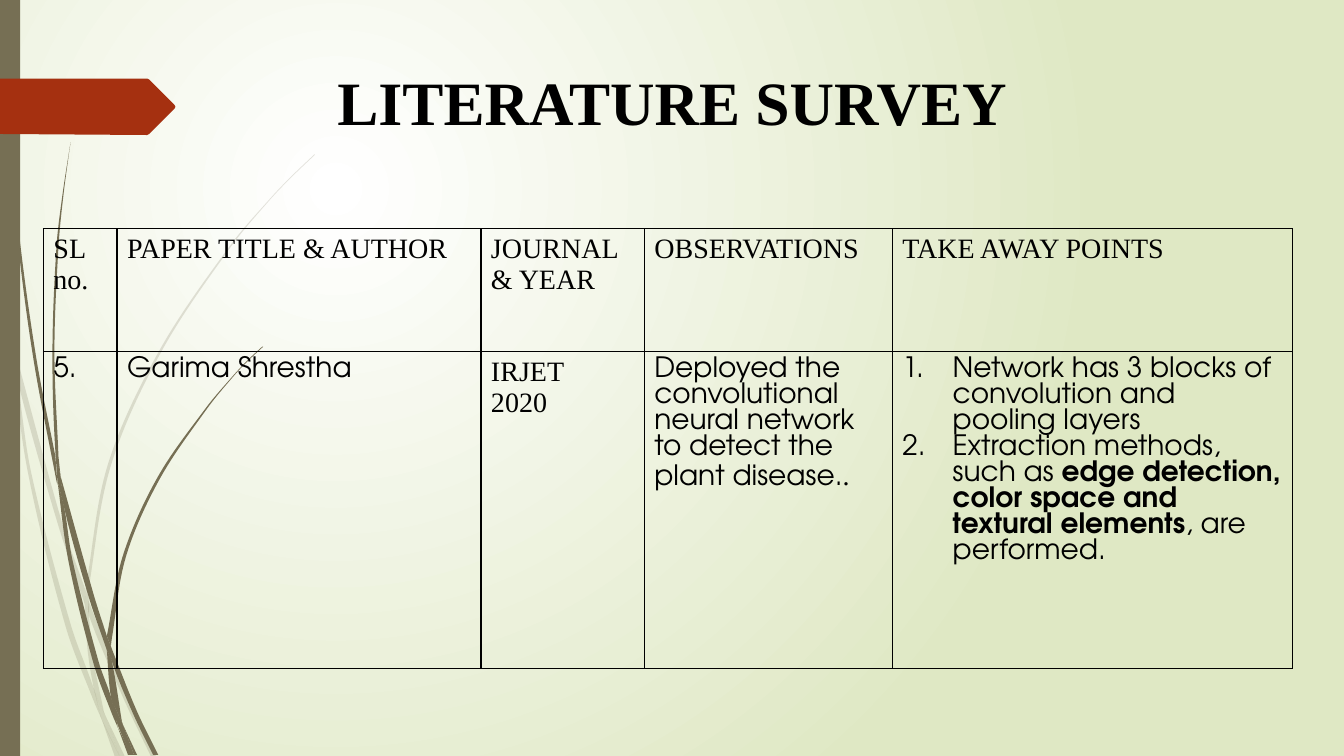
from math import dist

from lxml import etree
from pptx import Presentation
from pptx.dml.color import RGBColor
from pptx.enum.shapes import MSO_SHAPE
from pptx.enum.text import MSO_ANCHOR, PP_ALIGN
from pptx.oxml.ns import qn
from pptx.util import Inches, Pt

BAR, BOTTOM = MSO_SHAPE.RECTANGLE, MSO_ANCHOR.BOTTOM
LEFT, CENTER, JUSTIFY = PP_ALIGN.LEFT, PP_ALIGN.CENTER, PP_ALIGN.JUSTIFY

COLORS = {"white": "FFFFFF", "pale": "DFE8C4", "olive": "766F54",
          "rust": "A53010", "black": "000000"}
SERIF, SANS = "Times New Roman", "TeX Gyre Adventor"

# An outline is a list of curved edges; straight lines join one edge to the next.
PALE_GRASS = [
    [[(0.11, 3.5), (0.09, 3.22), (0, 2.82)], [(0, 2.99), (0.1, 3.44), (0.11, 3.5)]],
    [[(0.14, 3.45), (0.17, 3.76), (0.58, 5.22), (0.84, 5.99)],
     [(0.85, 5.86), (0.62, 5.2), (0.14, 3.45)]],
    [[(0.88, 5.96), (0.88, 6.1), (1.23, 6.94), (1.5, 7.51)],
     [(1.55, 7.51), (1.27, 6.92), (0.92, 6.07), (0.88, 5.96)]],
    [[(1.19, 7.51)], [(1.24, 7.51), (1.05, 7.11)]],
    [[(0.11, 3.5), (0.28, 4.7), (0.65, 6.21), (0.92, 6.93), (1.01, 7.14)],
     [(0.99, 7.07), (0.93, 6.83), (0.7, 6.19), (0.31, 4.69), (0.17, 3.76), (0.11, 3.5)]],
    [[(0.84, 5.99), (0.87, 6.46), (0.93, 6.83), (0.96, 6.92), (1.05, 7.11)],
     [(1.03, 7.06), (0.91, 6.46), (0.88, 6.1), (0.84, 5.99)]],
    [[(3.12, 1.53), (2.89, 1.75), (2.68, 1.97), (2.28, 2.44), (1.58, 3.48),
      (1.07, 4.61), (0.85, 5.84)],
     [(0.88, 5.96), (0.88, 5.84), (1.1, 4.62), (1.6, 3.49), (2.29, 2.45),
      (2.68, 1.98), (2.9, 1.75), (3.12, 1.54)]],
    [[(1.01, 7.14), (1.14, 7.51)], [(1.19, 7.51), (1.01, 7.14)]],
    [[(0.88, 6.1), (0.88, 5.96), (0.85, 5.86)], [(0.84, 5.99), (0.88, 6.08)]],
    [[(0.93, 6.83), (0.99, 7.07), (1.01, 7.14), (1.19, 7.51)],
     [(1.05, 7.11), (0.96, 6.92), (0.93, 6.83)]],
]
DARK_GRASS = [
    [[(0.03, 0), (0.04, 0.48), (0.07, 1.1), (0.17, 2.33), (0.33, 3.55),
      (0.56, 4.77), (0.57, 4.81)],
     [(0.55, 4.53), (0.36, 3.55), (0.19, 2.32), (0.08, 1.09), (0.05, 0.48), (0.04, 0)]],
    [[(0.6, 4.72), (0.64, 5.05), (0.88, 5.92), (1.06, 6.45)],
     [(1.06, 6.31), (0.93, 5.9), (0.6, 4.72)]],
    [[(1.1, 6.41), (1.11, 6.56), (1.32, 7.08), (1.52, 7.49)],
     [(1.57, 7.49), (1.36, 7.06), (1.13, 6.49), (1.1, 6.41)]],
    [[(0.57, 4.77), (0.68, 5.57), (0.93, 6.59), (1.11, 7.08), (1.17, 7.22)],
     [(1.16, 7.17), (1.1, 6.91), (0.98, 6.57), (0.72, 5.56), (0.64, 5.05), (0.57, 4.77)]],
    [[(0.7, 1.41), (0.62, 1.93), (0.56, 2.45), (0.52, 3.49), (0.55, 4.49), (0.6, 4.72)],
     [(0.58, 4.53), (0.54, 3.49), (0.58, 2.45), (0.63, 1.93), (0.7, 1.41)]],
    [[(1.33, 7.49)], [(1.36, 7.49), (1.22, 7.19)]],
    [[(0.57, 4.77), (0.64, 5.05)], [(0.6, 4.72), (0.55, 4.49)]],
    [[(2.6, 3.44), (2.45, 3.58), (2.31, 3.73), (2.04, 4.05), (1.56, 4.74),
      (1.22, 5.51), (1.06, 6.31)],
     [(1.1, 6.41), (1.11, 6.33), (1.25, 5.52), (1.58, 4.76), (2.05, 4.06),
      (2.31, 3.74), (2.45, 3.59), (2.61, 3.44)]],
    [[(1.17, 7.22), (1.27, 7.49)], [(1.31, 7.49), (1.17, 7.22)]],
    [[(1.06, 6.45), (1.1, 6.91), (1.16, 7.06), (1.22, 7.19)],
     [(1.21, 7.16), (1.11, 6.56), (1.06, 6.45)]],
    [[(1.06, 6.45), (1.11, 6.56)], [(1.1, 6.41), (1.06, 6.31)]],
    [[(1.1, 6.91), (1.16, 7.17), (1.3, 7.49)],
     [(1.33, 7.49), (1.22, 7.19), (1.16, 7.06), (1.1, 6.91)]],
]
TAG = [[(0, 0.78)], [(1.46, 0.78), (1.48, 0.79)],
       [(1.73, 1.04), (1.74, 1.06), (1.73, 1.08)],
       [(1.48, 1.33), (1.46, 1.34)], [(0, 1.33)]]

COLUMN_WIDTHS = [0.73, 3.61, 1.62, 2.46, 3.97]
ROW_HEIGHTS = [1.22, 3.14]
HEADINGS = [["SL", "no."], ["PAPER TITLE & AUTHOR"], ["JOURNAL & YEAR"],
            ["OBSERVATIONS"], ["TAKE AWAY POINTS"]]


def color(name):
    return RGBColor.from_string(COLORS[name])


def add_xml(parent, tag, **attributes):
    return etree.SubElement(parent, qn(tag), attributes)


def paint_background(slide):
    """Radial gradient centred on the upper left quarter."""
    fill = slide.background.fill
    fill.gradient()
    for position, name in enumerate(("white", "pale")):
        fill.gradient_stops[position].color.rgb = color(name)
        fill.gradient_stops[position].position = position
    gradient = slide.element.find(".//" + qn("a:gradFill"))
    gradient.remove(gradient.find(qn("a:lin")))
    radial = add_xml(gradient, "a:path", path="circle")
    add_xml(radial, "a:fillToRect", l="50000", t="50000", r="100000", b="100000")


def paint(shape, name):
    shape.shadow.inherit = False
    shape.fill.solid()
    shape.fill.fore_color.rgb = color(name)
    shape.line.fill.background()


def bend(nodes):
    """Turn the lines between outline nodes into one smooth curve."""
    knots = [(int(node[0].get("x")), int(node[0].get("y"))) for node in nodes]
    for index in range(1, len(knots)):
        start, end = knots[index - 1:index + 1]
        length = dist(start, end)
        controls = []
        for knot, sign in ((index - 1, 1), (index, -1)):
            around = knots[max(knot - 1, 0):knot + 2]
            reach = sum(map(dist, around, around[1:]))
            controls.append([here + sign * (after - before) * length / reach / 3
                             for here, before, after
                             in zip(knots[knot], around[0], around[-1])])
        nodes[index].tag = qn("a:cubicBezTo")
        for position, (x, y) in enumerate(controls):
            point = add_xml(nodes[index], "a:pt", x=str(round(x)), y=str(round(y)))
            nodes[index].insert(position, point)


def add_outline(slide, edges, name, opacity=100):
    corners = [(Inches(x), Inches(y)) for edge in edges for x, y in edge]
    builder = slide.shapes.build_freeform(*corners[0])
    builder.add_line_segments(corners[1:], close=True)
    shape = builder.convert_to_shape()
    paint(shape, name)
    nodes = list(shape.element.find(".//" + qn("a:path")))
    for edge in edges:
        bend(nodes[:len(edge)])
        nodes = nodes[len(edge):]
    if opacity < 100:
        shade = shape.element.spPr.find(qn("a:solidFill"))[0]
        add_xml(shade, "a:alpha", val=str(opacity * 1000))


def format_run(run, font, size, bold=False):
    run.font.name, run.font.size, run.font.bold = font, Pt(size), bold
    run.font.color.rgb = color("black")


def add_title(slide, text):
    box = slide.shapes.add_textbox(Inches(0.64), Inches(0.31), Inches(12.06), Inches(1.11))
    frame = box.text_frame
    frame.word_wrap, frame.vertical_anchor, frame.text = True, BOTTOM, text
    frame.paragraphs[0].alignment = CENTER
    format_run(frame.paragraphs[0].runs[0], SERIF, 44, True)


def number(para):
    properties = para._p.get_or_add_pPr()
    properties.set("marL", str(Inches(0.5)))
    properties.set("indent", str(Inches(-0.5)))
    add_xml(add_xml(properties, "a:buClr"), "a:srgbClr", val=COLORS["black"])
    add_xml(properties, "a:buAutoNum", type="arabicPeriod")


def border_cell(cell):
    properties = cell._tc.get_or_add_tcPr()
    for position, side in enumerate(("a:lnL", "a:lnR", "a:lnT", "a:lnB")):
        line = add_xml(properties, side, w=str(Pt(1)))
        add_xml(add_xml(line, "a:solidFill"), "a:srgbClr", val=COLORS["black"])
        properties.insert(position, line)


def fill_cell(cell, paragraphs, font=SERIF, alignment=LEFT, numbered=False):
    """A paragraph is a string, or a list of (text, font, bold) spans."""
    cell.fill.background()
    border_cell(cell)
    frame = cell.text_frame
    for index, content in enumerate(paragraphs):
        para = frame.add_paragraph() if index else frame.paragraphs[0]
        para.alignment = alignment
        if numbered:
            number(para)
        spans = [(content, font, False)] if isinstance(content, str) else content
        for text, face, bold in spans:
            run = para.add_run()
            run.text = text
            format_run(run, face, 20, bold)


def add_survey(slide):
    table = slide.shapes.add_table(
        len(ROW_HEIGHTS), len(COLUMN_WIDTHS), Inches(0.43), Inches(2.27),
        Inches(sum(COLUMN_WIDTHS)), Inches(sum(ROW_HEIGHTS))).table
    table.first_row = table.horz_banding = False
    for column, width in zip(table.columns, COLUMN_WIDTHS):
        column.width = Inches(width)
    for row, height in zip(table.rows, ROW_HEIGHTS):
        row.height = Inches(height)
    for cell, heading in zip(table.rows[0].cells, HEADINGS):
        fill_cell(cell, heading)
    serial, author, journal, observations, points = table.rows[1].cells
    fill_cell(serial, ["5."], SANS)
    fill_cell(author, ["Garima Shrestha"], SANS, JUSTIFY)
    fill_cell(journal, ["IRJET", "2020"], SERIF, JUSTIFY)
    fill_cell(observations, [[
        ("Deployed the convolutional neural network to detect the plant disease.",
         SANS, False), (".", SERIF, False)]])
    fill_cell(points, [
        "Network has 3 blocks of convolution and pooling layers",
        [("Extraction methods, such as ", SANS, False),
         ("edge detection, color space and textural elements", SANS, True),
         (", are performed.", SANS, False)]], SANS, numbered=True)


def main():
    deck = Presentation()
    deck.slide_width, deck.slide_height = Inches(13.33), Inches(7.5)
    slide = deck.slides.add_slide(deck.slide_layouts[6])
    paint_background(slide)
    for grass, opacity in ((PALE_GRASS, 20), (DARK_GRASS, 100)):
        for edges in grass:
            add_outline(slide, edges, "olive", opacity)
    paint(slide.shapes.add_shape(BAR, 0, 0, Inches(0.2), Inches(7.5)), "olive")
    add_outline(slide, TAG, "rust")
    add_title(slide, "LITERATURE SURVEY")
    add_survey(slide)
    deck.save("out.pptx")


if __name__ == "__main__":
    main()
